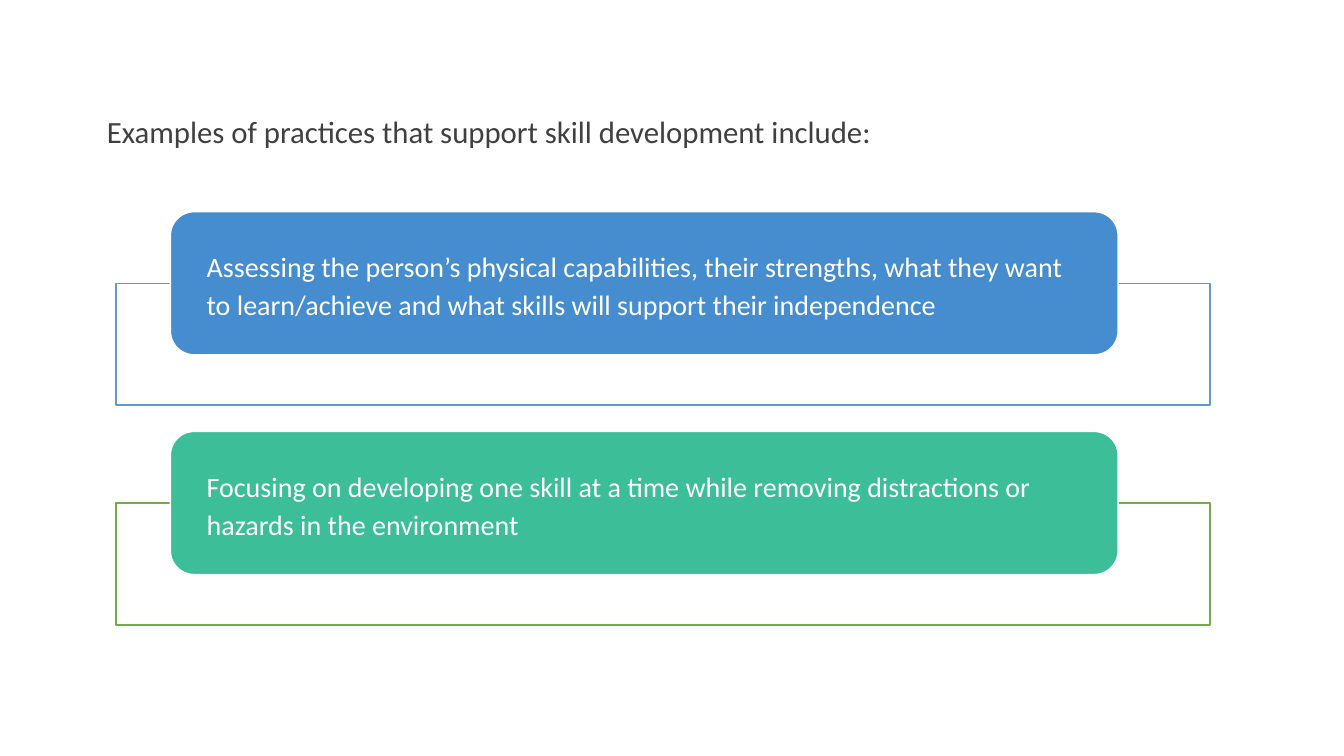
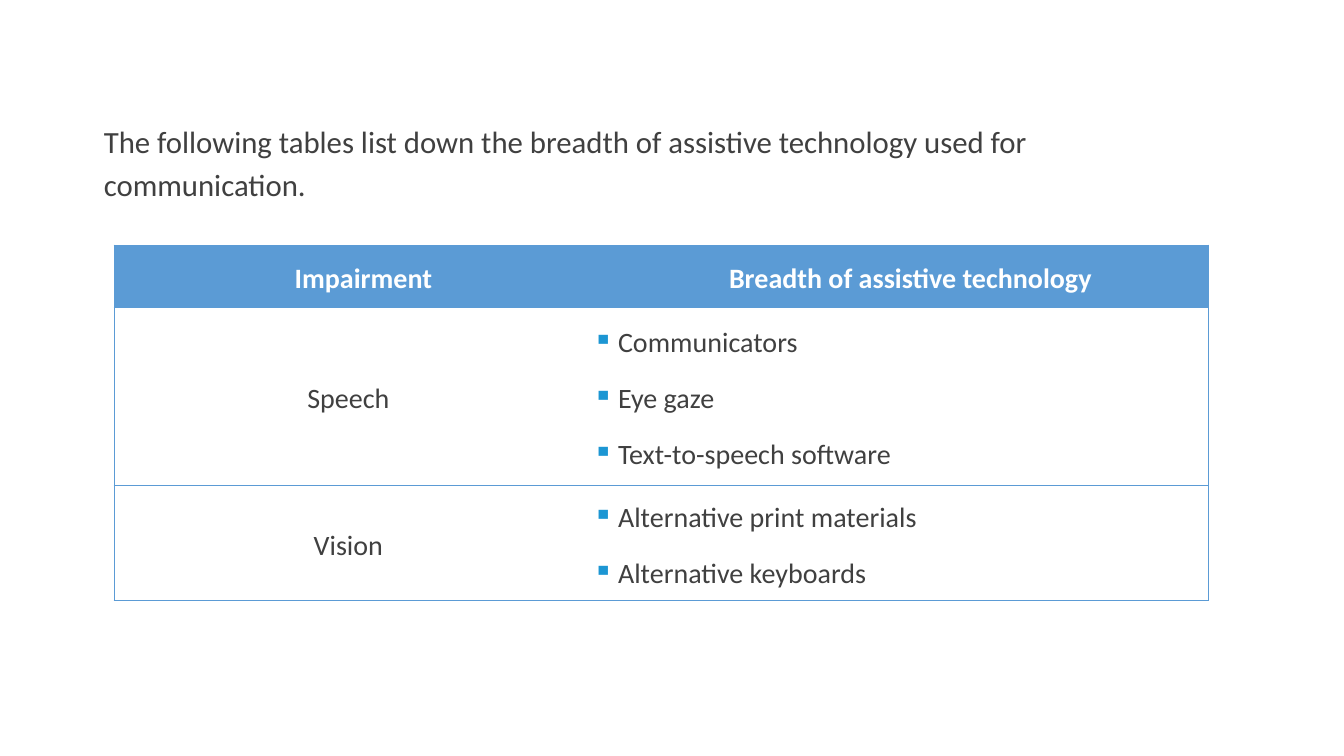
from lxml import etree
from pptx import Presentation
from pptx.dml.color import RGBColor
from pptx.enum.shapes import MSO_SHAPE
from pptx.enum.text import MSO_ANCHOR, PP_ALIGN
from pptx.oxml.ns import qn
from pptx.util import Pt

PX = 9144  # 100 px to the inch
RECT, ROUND = MSO_SHAPE.RECTANGLE, MSO_SHAPE.ROUNDED_RECTANGLE
MIDDLE = MSO_ANCHOR.MIDDLE
LEFT, CENTER = PP_ALIGN.LEFT, PP_ALIGN.CENTER
FONT, INK, WHITE, BLUE = "Calibri", "404040", "FFFFFF", "5B9BD5"


def rgb(code):
    return RGBColor.from_string(code)


def style(par, size, color, align=LEFT, bold=False, before=0):
    par.alignment = align
    par.line_spacing = 1.14
    par.space_before, par.space_after = Pt(before), Pt(6)
    font = par.font
    font.name, font.size, font.bold = FONT, Pt(size), bold
    font.color.rgb = rgb(color)


deck = Presentation()
deck.slide_width, deck.slide_height = 1333 * PX, 750 * PX

# Both slides: an opening sentence in the body placeholder
intros = [
    (96, 102, "Examples of practices that support skill development include:"),
    (93, 112, "The following tables list down the breadth of assistive "
              "technology used for communication."),
]
slides = []
for x, y, text in intros:
    slide = deck.slides.add_slide(deck.slide_layouts[1])
    title = slide.shapes.title.element
    title.getparent().remove(title)
    body = slide.placeholders[1]
    body.left, body.top = x * PX, y * PX
    body.width, body.height = 1103 * PX, 476 * PX
    body.text_frame.text = text
    par = body.text_frame.paragraphs[0]
    props = par._p.get_or_add_pPr()
    props.set("marL", "0")
    props.set("indent", "0")
    etree.SubElement(props, qn("a:buNone"))
    style(par, 22, INK)
    slides.append(slide)

# Slide 1: cards, each on an outlined frame
cards = [
    ("458DCF", BLUE, "Assessing the person’s physical capabilities, their "
     "strengths, what they want to learn/achieve and what skills will "
     "support their independence"),
    ("3CBE99", "70AD47", "Focusing on developing one skill at a time while "
     "removing distractions or hazards in the environment"),
]
for i, (color, edge, text) in enumerate(cards):
    top = 210 + 218 * i
    parts = [
        (RECT, 115, top + 71, 1085, 121, WHITE, edge),
        (ROUND, 169, top, 940, 142, color, WHITE),
    ]
    for kind, x, y, w, h, fill, line in parts:
        card = slides[0].shapes.add_shape(kind, x * PX, y * PX, w * PX, h * PX)
        card.shadow.inherit = False
        card.fill.solid()
        card.fill.fore_color.rgb = rgb(fill)
        card.line.color.rgb = rgb(line)
        card.line.width = Pt(1)
    frame = card.text_frame
    frame.word_wrap = True
    frame.vertical_anchor = MIDDLE
    frame.margin_left = frame.margin_right = 29 * PX
    frame.margin_top = frame.margin_bottom = 0
    frame.text = text
    style(frame.paragraphs[0], 20, WHITE)

# Slide 2: table of impairments and aids
rows = [
    ("Impairment", ["Breadth of assistive technology"]),
    ("Speech", ["Communicators", "Eye gaze", "Text-to-speech software"]),
    ("Vision", ["Alternative print materials", "Alternative keyboards"]),
]
widths, heights = [465, 620], [62, 177, 114]
table = slides[1].shapes.add_table(
    len(rows), len(widths), 113 * PX, 243 * PX,
    sum(widths) * PX, sum(heights) * PX).table
for col, w in zip(table.columns, widths):
    col.width = w * PX
for row, h in zip(table.rows, heights):
    row.height = h * PX

for r, (name, aids) in enumerate(rows):
    head = r == 0
    for c, lines in enumerate([[name], aids]):
        cell = table.cell(r, c)
        cell.vertical_anchor = MIDDLE
        if head:
            cell.margin_left = cell.margin_right = 7 * PX
            cell.margin_top = cell.margin_bottom = 0

        # Borders: none between the columns
        inner = "R" if c == 0 else "L"
        for side in "LRTB":
            line = etree.SubElement(cell._tc.get_or_add_tcPr(),
                                    qn("a:ln" + side), w=str(Pt(0.5)))
            if side == inner:
                etree.SubElement(line, qn("a:noFill"))
            else:
                fill = etree.SubElement(line, qn("a:solidFill"))
                etree.SubElement(fill, qn("a:srgbClr"), val=BLUE)
        cell.fill.solid()
        cell.fill.fore_color.rgb = rgb(BLUE if head else WHITE)

        # Text: bullets in the second column
        cell.text = "\n".join(lines)
        listed = c == 1 and not head
        for i, par in enumerate(cell.text_frame.paragraphs):
            props = par._p.get_or_add_pPr()
            if head or listed:
                props.set("marL", str((55 if head else 25) * PX))
                props.set("indent", str(-25 * PX))
            if listed:
                tint = etree.SubElement(props, qn("a:buClr"))
                etree.SubElement(tint, qn("a:srgbClr"), val="1C96D3")
                etree.SubElement(props, qn("a:buChar"), char="▪")
            style(par, 20, WHITE if head else INK,
                  LEFT if listed else CENTER, head, 6 if i else 0)

deck.save("out.pptx")
